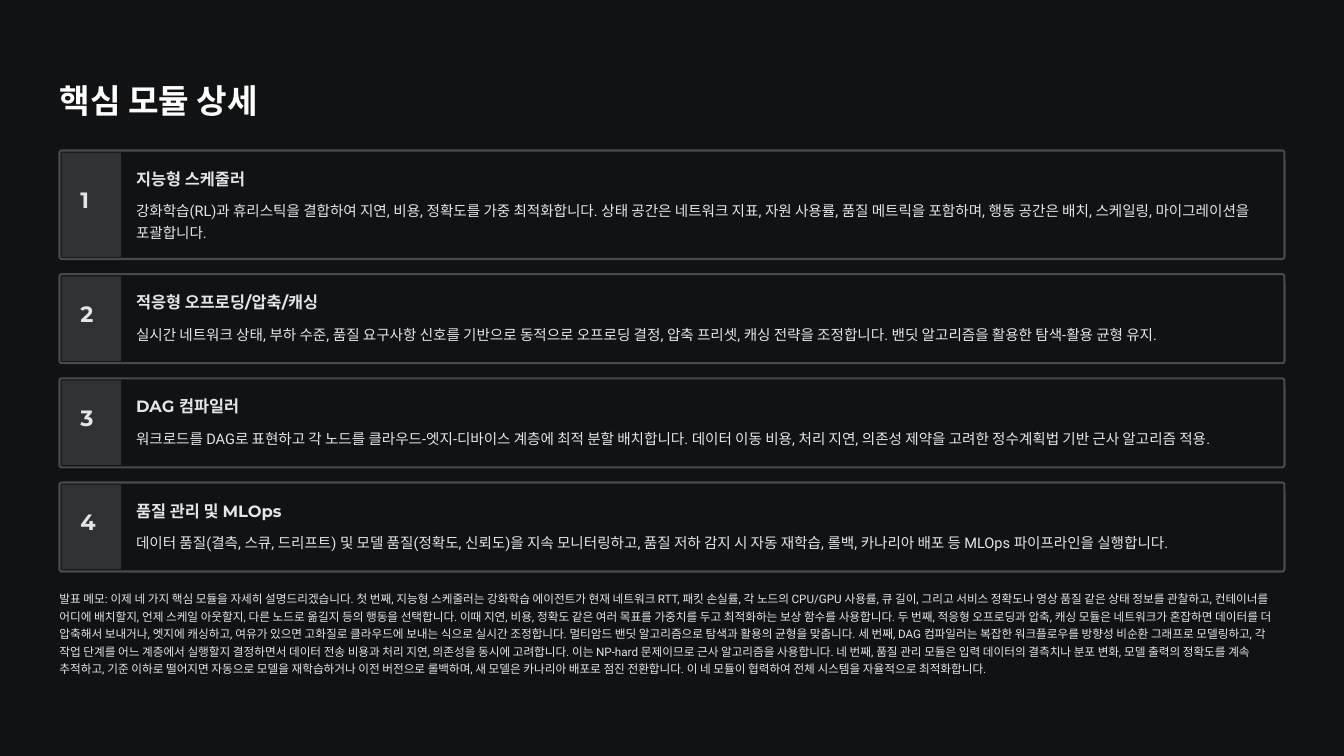
import pptx
import pptx.util
import pptx.dml.color
import pptx.enum.shapes
import pptx.enum.text

Pt = pptx.util.Pt
SHAPES = pptx.enum.shapes.MSO_SHAPE

BACKGROUND, PANEL, BORDER = "111213", "303132", "494A4B"
TITLE_FONT = {"name": "Montserrat", "size": Pt(28.5), "bold": True}
NUMBER_FONT = {"name": "Montserrat", "size": Pt(19), "bold": True}
HEADING_FONT = {"name": "Montserrat", "size": Pt(14), "bold": True}
BODY_FONT = {"name": "Roboto", "size": Pt(12.5), "bold": False}
MEMO_FONT = {"name": "Roboto", "size": Pt(10), "bold": False}

MARGIN, CONTENT_WIDTH = 51, 1050
CARDS_TOP, CARD_GAP = 129, 13

# Heading, description, card height, heading width
MODULES = [
    ("지능형 스케줄러",
     "강화학습(RL)과 휴리스틱을 결합하여 지연, 비용, 정확도를 가중 최적화합니다. "
     "상태 공간은 네트워크 지표, 자원 사용률, 품질 메트릭을 포함하며, "
     "행동 공간은 배치, 스케일링, 마이그레이션을 포괄합니다.", 93, 145),
    ("적응형 오프로딩/압축/캐싱",
     "실시간 네트워크 상태, 부하 수준, 품질 요구사항 신호를 기반으로 동적으로 오프로딩 결정, "
     "압축 프리셋, 캐싱 전략을 조정합니다. 밴딧 알고리즘을 활용한 탐색-활용 균형 유지.", 76.3, 162),
    ("DAG 컴파일러",
     "워크로드를 DAG로 표현하고 각 노드를 클라우드-엣지-디바이스 계층에 최적 분할 배치합니다. "
     "데이터 이동 비용, 처리 지연, 의존성 제약을 고려한 정수계획법 기반 근사 알고리즘 적용.", 76.3, 145),
    ("품질 관리 및 MLOps",
     "데이터 품질(결측, 스큐, 드리프트) 및 모델 품질(정확도, 신뢰도)을 지속 모니터링하고, "
     "품질 저하 감지 시 자동 재학습, 롤백, 카나리아 배포 등 MLOps 파이프라인을 실행합니다.", 76.3, 145),
]

MEMO = (
    "발표 메모: 이제 네 가지 핵심 모듈을 자세히 설명드리겠습니다. "
    "첫 번째, 지능형 스케줄러는 강화학습 에이전트가 현재 네트워크 RTT, 패킷 손실률, "
    "각 노드의 CPU/GPU 사용률, 큐 길이, 그리고 서비스 정확도나 영상 품질 같은 상태 정보를 관찰하고, "
    "컨테이너를 어디에 배치할지, 언제 스케일 아웃할지, 다른 노드로 옮길지 등의 행동을 선택합니다. "
    "이때 지연, 비용, 정확도 같은 여러 목표를 가중치를 두고 최적화하는 보상 함수를 사용합니다. "
    "두 번째, 적응형 오프로딩과 압축, 캐싱 모듈은 네트워크가 혼잡하면 데이터를 더 압축해서 보내거나, "
    "엣지에 캐싱하고, 여유가 있으면 고화질로 클라우드에 보내는 식으로 실시간 조정합니다. "
    "멀티암드 밴딧 알고리즘으로 탐색과 활용의 균형을 맞춥니다. "
    "세 번째, DAG 컴파일러는 복잡한 워크플로우를 방향성 비순환 그래프로 모델링하고, "
    "각 작업 단계를 어느 계층에서 실행할지 결정하면서 데이터 전송 비용과 처리 지연, 의존성을 동시에 고려합니다. "
    "이는 NP-hard 문제이므로 근사 알고리즘을 사용합니다. "
    "네 번째, 품질 관리 모듈은 입력 데이터의 결측치나 분포 변화, 모델 출력의 정확도를 계속 추적하고, "
    "기준 이하로 떨어지면 자동으로 모델을 재학습하거나 이전 버전으로 롤백하며, "
    "새 모델은 카나리아 배포로 점진 전환합니다. 이 네 모듈이 협력하여 전체 시스템을 자율적으로 최적화합니다."
)


def color(value):
    return pptx.dml.color.RGBColor.from_string(value)


def write_text(box, text, font, spacing, ink="E2E6E9", wrap=True):
    frame = box.text_frame
    frame_format = {
        "margin_left": 0, "margin_top": 0, "margin_right": 0, "margin_bottom": 0,
        "word_wrap": wrap,
        "auto_size": pptx.enum.text.MSO_AUTO_SIZE.NONE,
        "vertical_anchor": pptx.enum.text.MSO_ANCHOR.TOP,
    }
    for name, value in frame_format.items():
        setattr(frame, name, value)
    para = frame.paragraphs[0]
    para.alignment = pptx.enum.text.PP_ALIGN.LEFT
    para.line_spacing = Pt(spacing)
    span = para.add_run()
    span.text = text
    for name, value in font.items():
        setattr(span.font, name, value)
    span.font.color.rgb = color(ink)


def add_text(page, left, top, width, height, *text_format, **options):
    box = page.shapes.add_textbox(Pt(left), Pt(top), Pt(width), Pt(height))
    write_text(box, *text_format, **options)


def add_panel(page, kind, left, top, width, height, fill, line=None):
    panel = page.shapes.add_shape(kind, Pt(left), Pt(top), Pt(width), Pt(height))
    panel.shadow.inherit = False
    panel.fill.solid()
    panel.fill.fore_color.rgb = color(fill)
    if line:
        panel.line.color.rgb = color(line)
        panel.line.width = Pt(1.8)
    else:
        panel.line.fill.background()
    return panel


def add_title(page, left, top, width, height):
    title = page.shapes.title
    place = {"left": left, "top": top, "width": width, "height": height}
    for name, value in place.items():
        setattr(title, name, Pt(value))
    write_text(title, "핵심 모듈 상세", TITLE_FONT, 36, ink="FFFFFF", wrap=False)


def add_card(page, left, top, width, height, number, heading, description, heading_width):
    # Frame with a small corner radius, and the number strip inside it
    frame = add_panel(page, SHAPES.ROUNDED_RECTANGLE, left, top, width, height, BACKGROUND, BORDER)
    frame.adjustments[0] = 1.93 / height
    add_panel(page, SHAPES.RECTANGLE, left + 1.8, top + 1.8, 51, height - 3.6, PANEL)
    add_text(page, left + 18, top + height / 2 - 11.8, 19, 24,
             str(number), NUMBER_FONT, 19, wrap=False)
    # Heading and description
    add_text(page, left + 65.6, top + 14.4, heading_width, 18,
             heading, HEADING_FONT, 18, wrap=False)
    add_text(page, left + 65.6, top + 40.3, width - 80, height - 55,
             description, BODY_FONT, 19)


def add_modules_page(deck):
    page = deck.slides.add_slide(deck.slide_layouts[5])
    page.background.fill.solid()
    page.background.fill.fore_color.rgb = color(BACKGROUND)
    add_title(page, MARGIN, 67, 290, 36)

    # Stacked module cards
    top = CARDS_TOP
    for number, (heading, description, height, heading_width) in enumerate(MODULES, 1):
        add_card(page, MARGIN, top, CONTENT_WIDTH, height,
                 number, heading, description, heading_width)
        top += height + CARD_GAP

    # Speaker memo under the cards
    add_text(page, MARGIN, top + 1.5, CONTENT_WIDTH, 76, MEMO, MEMO_FONT, 15)


def main():
    deck = pptx.Presentation()
    deck.slide_width, deck.slide_height = Pt(1152), Pt(648)
    add_modules_page(deck)
    deck.save("out.pptx")


if __name__ == "__main__":
    main()
